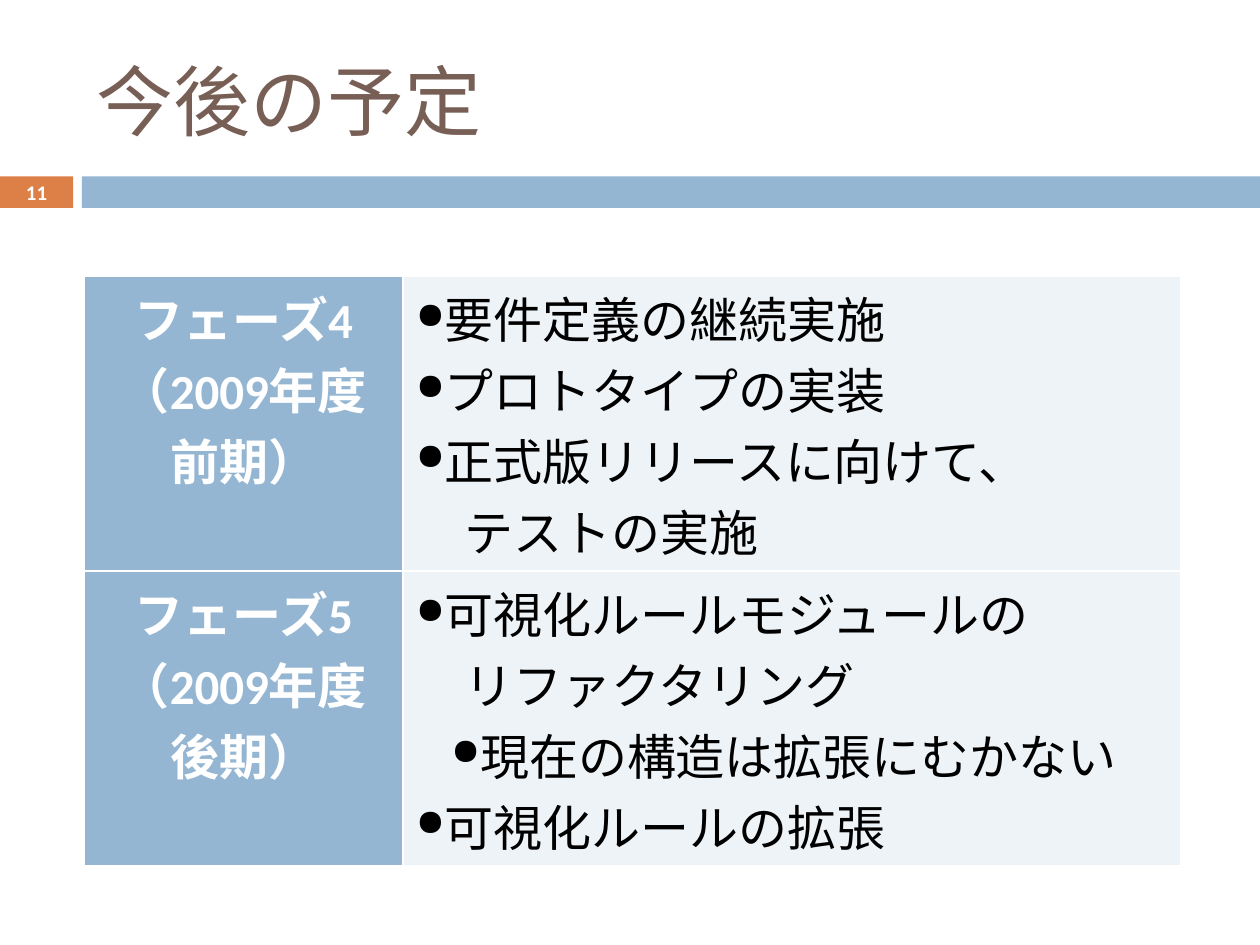
from pptx import Presentation
from pptx.dml.color import RGBColor
from pptx.enum.shapes import MSO_SHAPE
from pptx.enum.text import MSO_ANCHOR, PP_ALIGN
from pptx.oxml.ns import qn
from pptx.util import Inches, Pt
from lxml import etree

RECT = MSO_SHAPE.RECTANGLE
MIDDLE = MSO_ANCHOR.MIDDLE
LEFT, CENTER = PP_ALIGN.LEFT, PP_ALIGN.CENTER

BLUE, ORANGE, BROWN = "94B6D2", "DD8047", "775F55"
PALE, WHITE, BLACK = "EEF3F7", "FFFFFF", "000000"


def rgb(value):
    return RGBColor.from_string(value)


def write(p, text, size=28, color=BLACK, bold=False, align=LEFT, font="Calibri"):
    """Fill a paragraph; a newline in the text is a line break."""
    p.text = text
    p.alignment = align
    for r in p.runs:
        r.font.name = font
        r.font.size = Pt(size)
        r.font.bold = bold
        r.font.color.rgb = rgb(color)


def add_bullet(p, level=0):
    pPr = p._p.get_or_add_pPr()
    p.level = level
    pPr.set("marL", str(Inches(0.5 * level)))
    pPr.set("indent", str(Inches(-0.22 * level)))
    etree.SubElement(pPr, qn("a:buSzPct")).set("val", "75000")
    etree.SubElement(pPr, qn("a:buChar")).set("char", "●")


def add_borders(cell, color=WHITE, width=1):
    tcPr = cell._tc.get_or_add_tcPr()
    for i, side in enumerate(("lnL", "lnR", "lnT", "lnB")):
        ln = etree.Element(qn(f"a:{side}"), w=str(Pt(width)))
        fill = etree.SubElement(ln, qn("a:solidFill"))
        etree.SubElement(fill, qn("a:srgbClr")).set("val", color)
        tcPr.insert(i, ln)


class SlideBuilder:
    def __init__(self, slide):
        self.s = slide

    def rect(self, x, y, w, h, color):
        sp = self.s.shapes.add_shape(RECT, Inches(x), Inches(y), Inches(w), Inches(h))
        sp.shadow.inherit = False
        sp.fill.solid()
        sp.fill.fore_color.rgb = rgb(color)
        sp.line.fill.background()

    def text(self, x, y, w, h, text, **fmt):
        sp = self.s.shapes.add_textbox(Inches(x), Inches(y), Inches(w), Inches(h))
        tf = sp.text_frame
        tf.word_wrap = True
        tf.vertical_anchor = MIDDLE
        write(tf.paragraphs[0], text, **fmt)

    def cell(self, cell, color):
        cell.fill.solid()
        cell.fill.fore_color.rgb = rgb(color)
        add_borders(cell)
        return cell.text_frame

    def phase_table(self, x, y, widths, row_height, phases):
        table = self.s.shapes.add_table(
            len(phases), len(widths), Inches(x), Inches(y),
            Inches(sum(widths)), Inches(row_height * len(phases))).table
        table.first_row = table.horz_banding = False
        for column, width in zip(table.columns, widths):
            column.width = Inches(width)
        for i, (heading, tasks) in enumerate(phases):
            tf = self.cell(table.cell(i, 0), BLUE)
            for j, line in enumerate(heading):
                p = tf.add_paragraph() if j else tf.paragraphs[0]
                write(p, line, color=WHITE, bold=True, align=CENTER)
            tf = self.cell(table.cell(i, 1), PALE)
            for j, (level, task) in enumerate(tasks):
                p = tf.add_paragraph() if j else tf.paragraphs[0]
                write(p, task)
                add_bullet(p, level)


# Each phase: heading paragraphs, then (level, task) pairs
PHASES = [
    (["フェーズ4", "（2009年度\n前期）"],
     [(0, "要件定義の継続実施"),
      (0, "プロトタイプの実装"),
      (0, "正式版リリースに向けて、\n　テストの実施")]),
    (["フェーズ5", "（2009年度\n後期）"],
     [(0, "可視化ルールモジュールの\n　リファクタリング"),
      (1, "現在の構造は拡張にむかない"),
      (0, "可視化ルールの拡張")]),
]


def main():
    prs = Presentation()
    prs.slide_width, prs.slide_height = Inches(10), Inches(7.5)
    b = SlideBuilder(prs.slides.add_slide(prs.slide_layouts[6]))

    # Header band
    b.rect(0, 1.4, 0.58, 0.25, ORANGE)
    b.rect(0.65, 1.4, 9.35, 0.25, BLUE)

    # Title and slide number
    b.text(0.67, 0.25, 8.92, 1.08, "今後の予定", size=44, color=BROWN)
    b.text(0, 1.39, 0.58, 0.27, "11", size=11.9, color=WHITE, bold=True, align=CENTER)

    # Schedule by phase
    b.phase_table(0.67, 2.19, [2.53, 6.17], 2.34, PHASES)

    prs.save("out.pptx")


if __name__ == "__main__":
    main()
